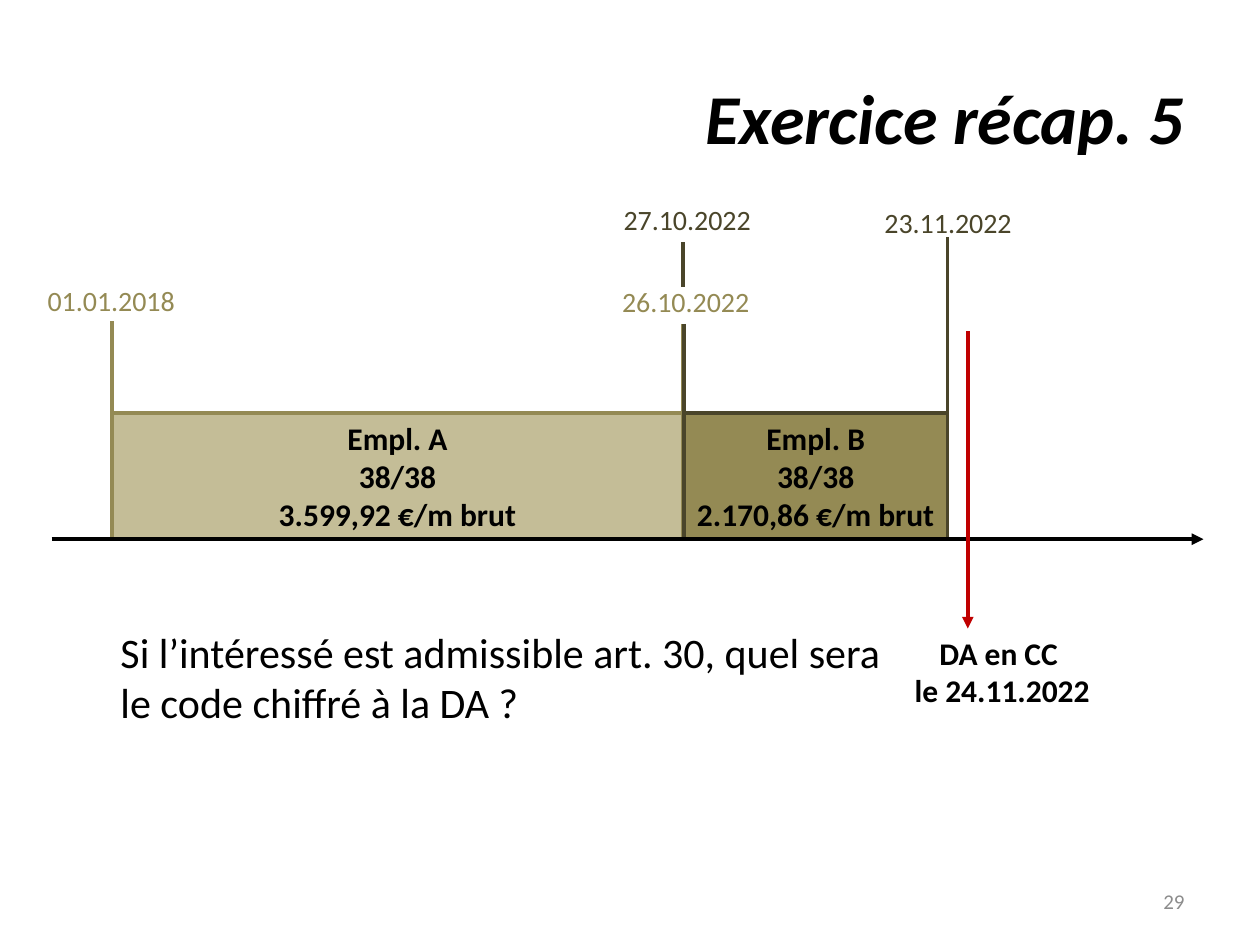
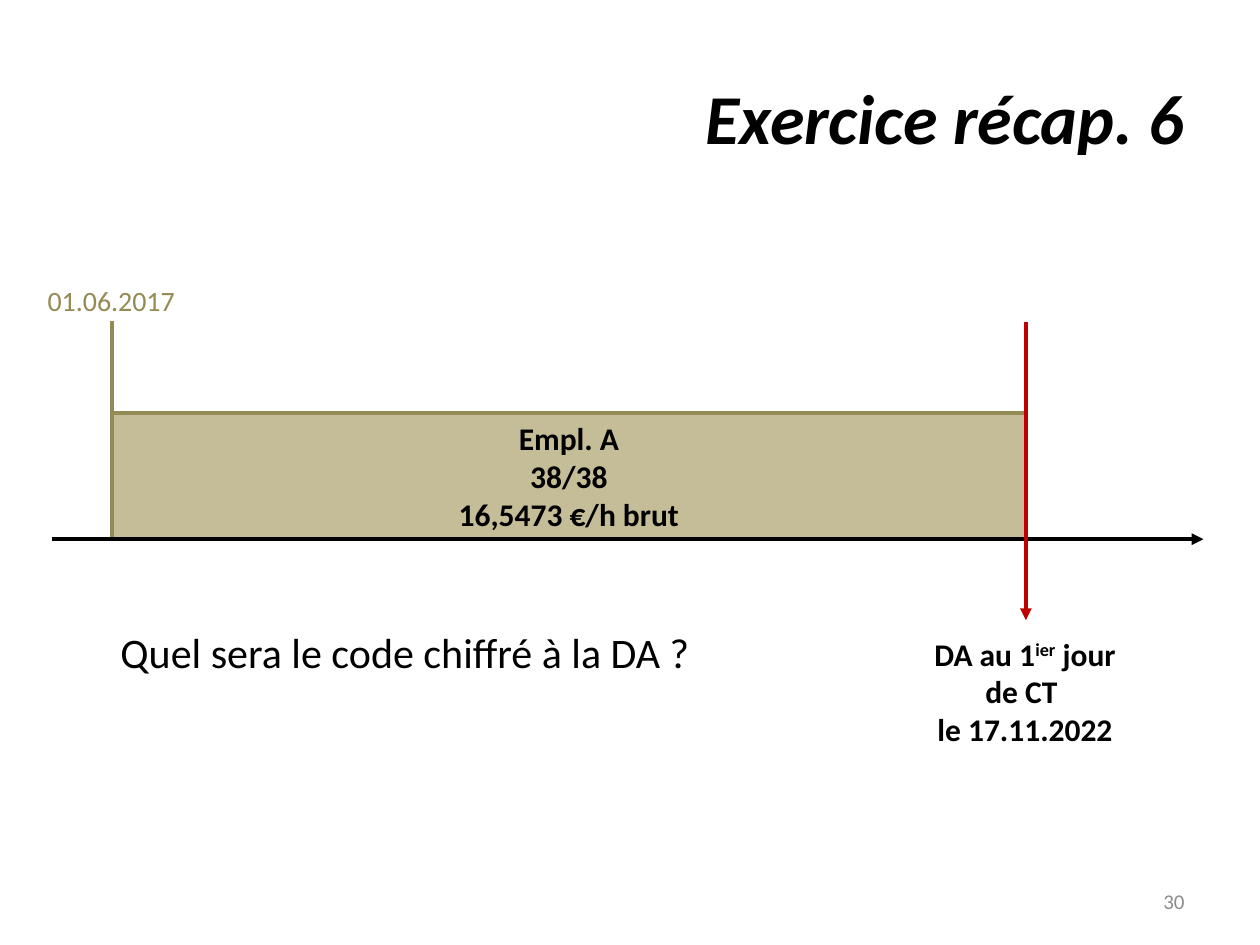
import pptx
import pptx.dml.color
import pptx.enum.shapes
import pptx.enum.text
import pptx.oxml.ns
import lxml.etree
from pptx.util import Cm, Pt

FONT = "Calibri"
BLACK, GREY, RED = "000000", "8C8C8C", "C00000"
LIGHT_TAN, TAN, DARK_TAN = "C4BD97", "948A54", "4A452A"

AXIS_Y = 10.87
JOB_HEIGHT = 2.54
FIRST_DAY_X = 2.26
DATE_WIDTH, DATE_HEIGHT = 3.1, 0.94

ALIGN = pptx.enum.text.PP_ALIGN
ANCHOR = pptx.enum.text.MSO_ANCHOR


def rgb(hex_string):
    return pptx.dml.color.RGBColor.from_string(hex_string)


def write(text_frame, lines, size, color=BLACK, bold=False, italic=False, align=ALIGN.LEFT):
    """Fill the frame; a line is a string or a list of (text, is_superscript)."""
    for index, line in enumerate(lines):
        paragraph = text_frame.paragraphs[0] if index == 0 else text_frame.add_paragraph()
        paragraph.alignment = align
        pieces = [(line, False)] if isinstance(line, str) else line
        for text, is_superscript in pieces:
            run = paragraph.add_run()
            run.text = text
            run.font.name = FONT
            run.font.size = Pt(size)
            run.font.bold = bold
            run.font.italic = italic
            run.font.color.rgb = rgb(color)
            if is_superscript:
                run._r.get_or_add_rPr().set("baseline", "30000")


def add_text(slide, left, top, width, height, lines, size, wrap=True,
             anchor=ANCHOR.TOP, **style):
    box = slide.shapes.add_textbox(Cm(left), Cm(top), Cm(width), Cm(height))
    box.text_frame.word_wrap = wrap
    box.text_frame.vertical_anchor = anchor
    write(box.text_frame, lines, size, **style)


def add_line(slide, start, end, color, arrow=False):
    line = slide.shapes.add_connector(
        pptx.enum.shapes.MSO_CONNECTOR.STRAIGHT, *(Cm(value) for value in start + end))
    line.line.color.rgb = rgb(color)
    line.line.width = Pt(2.25)
    if arrow:
        tail = lxml.etree.SubElement(line.line._get_or_add_ln(), pptx.oxml.ns.qn("a:tailEnd"))
        tail.set("type", "triangle")
    lxml.etree.SubElement(line._element.spPr, pptx.oxml.ns.qn("a:effectLst"))


def add_mark(slide, x, top, color, bottom=AXIS_Y, arrow=False):
    add_line(slide, (x, top), (x, bottom), color, arrow)


def add_date(slide, center, top, text, color):
    add_text(slide, center - DATE_WIDTH / 2, top, DATE_WIDTH, DATE_HEIGHT, [text], 16,
             wrap=False, color=color)


def add_job(slide, left, right, lines, fill, border):
    """Draw an employment period standing on the time axis."""
    job = slide.shapes.add_shape(
        pptx.enum.shapes.MSO_SHAPE.RECTANGLE,
        Cm(left), Cm(AXIS_Y - JOB_HEIGHT), Cm(right - left), Cm(JOB_HEIGHT))
    job.shadow.inherit = False
    job.fill.solid()
    job.fill.fore_color.rgb = rgb(fill)
    job.line.color.rgb = rgb(border)
    job.line.width = Pt(2)
    frame = job.text_frame
    frame.word_wrap = True
    frame.margin_left = frame.margin_right = Cm(0.1)
    frame.vertical_anchor = ANCHOR.MIDDLE
    write(frame, lines, 18, bold=True, align=ALIGN.CENTER)


def add_axis(slide):
    add_line(slide, (1.04, AXIS_Y), (24.26, AXIS_Y), BLACK, arrow=True)


def add_request(slide, x, top, bottom, label_left, label_top, label_height, lines):
    """Draw the red arrow of the benefit request and its label."""
    add_mark(slide, x, top, RED, bottom, arrow=True)
    add_text(slide, label_left, label_top, 4.19, label_height, lines, 18,
             bold=True, align=ALIGN.CENTER)


def add_question(slide, text, height):
    add_text(slide, 2.18, 12.5, 16.38, height, [text], 24)


def add_exercise(presentation, title_text, number):
    slide = presentation.slides.add_slide(presentation.slide_layouts[5])
    title = slide.shapes.title
    title.left, title.top, title.width, title.height = Cm(1.27), Cm(0.76), Cm(22.86), Cm(3.18)
    title.text_frame.vertical_anchor = ANCHOR.MIDDLE
    write(title.text_frame, [title_text], 40, bold=True, italic=True, align=ALIGN.RIGHT)
    add_text(slide, 18.2, 17.66, 5.93, 1.01, [number], 12, color=GREY,
             anchor=ANCHOR.MIDDLE, align=ALIGN.RIGHT)
    return slide


def build_two_jobs(presentation):
    slide = add_exercise(presentation, "Exercice récap. 5", "29")
    change_x, last_day_x = 13.77, 19.1
    add_job(slide, FIRST_DAY_X, change_x, ["Empl. A", "38/38", "3.599,92 €/m brut"],
            LIGHT_TAN, TAN)
    add_mark(slide, FIRST_DAY_X, 6.48, TAN)
    add_mark(slide, change_x, 6.53, TAN)
    add_date(slide, FIRST_DAY_X, 5.59, "01.01.2018", TAN)
    add_date(slide, 13.84, 5.61, "26.10.2022", TAN)
    add_job(slide, change_x + 0.02, last_day_x, ["Empl. B", "38/38", "2.170,86 €/m brut"],
            TAN, DARK_TAN)
    add_date(slide, 13.87, 3.96, "27.10.2022", DARK_TAN)
    add_mark(slide, last_day_x, 4.78, DARK_TAN)
    add_date(slide, 19.13, 4.01, "23.11.2022", DARK_TAN)
    add_mark(slide, change_x + 0.02, 6.53, DARK_TAN)
    add_mark(slide, change_x, 4.88, DARK_TAN, bottom=5.79)
    add_axis(slide)
    add_request(slide, 19.51, 6.68, 12.67, 18.11, 12.65, 1.8, ["DA en CC ", "le 24.11.2022"])
    add_question(
        slide, "Si l’intéressé est admissible art. 30, quel sera le code chiffré à la DA ?", 2.31)


def build_one_job(presentation):
    slide = add_exercise(presentation, "Exercice récap. 6", "30")
    request_x = 20.68
    add_job(slide, FIRST_DAY_X, request_x, ["Empl. A", "38/38", "16,5473 €/h brut"],
            LIGHT_TAN, TAN)
    add_mark(slide, FIRST_DAY_X, 6.48, TAN)
    add_date(slide, FIRST_DAY_X, 5.59, "01.06.2017", TAN)
    add_axis(slide)
    first_line = [("DA au 1", False), ("ier", True), (" jour de CT ", False)]
    add_request(slide, request_x, 6.5, 12.5, 18.57, 12.67, 2.57, [first_line, "le 17.11.2022"])
    add_question(slide, "Quel sera le code chiffré à la DA ?", 1.27)


def main():
    presentation = pptx.Presentation()
    presentation.slide_width, presentation.slide_height = Cm(25.4), Cm(19.05)
    build_two_jobs(presentation)
    build_one_job(presentation)
    presentation.save("out.pptx")


if __name__ == "__main__":
    main()
